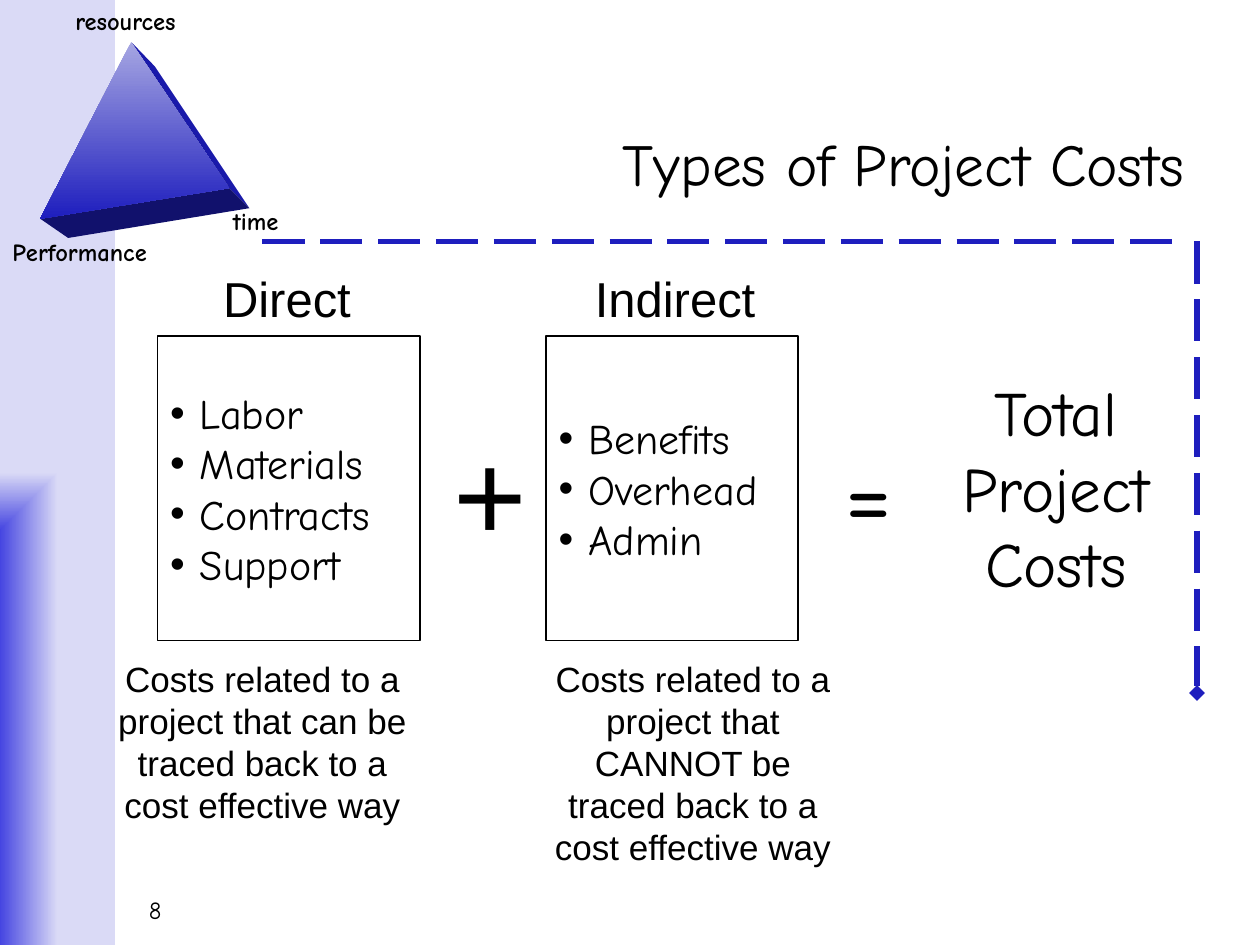
from lxml.etree import SubElement
from pptx import Presentation
from pptx.dml.color import RGBColor
from pptx.enum.dml import MSO_LINE
from pptx.enum.shapes import MSO_CONNECTOR, MSO_SHAPE
from pptx.enum.text import MSO_ANCHOR, MSO_AUTO_SIZE, PP_ALIGN
from pptx.oxml.ns import qn
from pptx.util import Pt

BLACK = RGBColor(0x00, 0x00, 0x00)
WHITE = RGBColor(0xFF, 0xFF, 0xFF)
BLUE = RGBColor(0x1E, 0x1E, 0xBE)
SIDE_BLUE = RGBColor(0x1A, 0x1A, 0xAA)
BASE_BLUE = RGBColor(0x11, 0x11, 0x6C)
PALE_BLUE = RGBColor(0xA6, 0xA6, 0xE2)
BAND_DARK = RGBColor(0x45, 0x45, 0xE1)
BAND_LIGHT = RGBColor(0xDA, 0xDA, 0xF6)
COMIC = "Comic Neue"
ARIAL = "Arial"


def write_text(frame, text, size=24, font=COMIC, bold=False, align=PP_ALIGN.LEFT,
               anchor=MSO_ANCHOR.TOP, wrap=True, bullet_indent=0):
    """Fill a text frame, one paragraph per line of text."""
    frame.text = text
    frame.auto_size = MSO_AUTO_SIZE.NONE
    frame.word_wrap = wrap
    frame.vertical_anchor = anchor
    for paragraph in frame.paragraphs:
        paragraph.alignment = align
        paragraph.space_before = Pt(0)
        paragraph.font.size = Pt(size)
        paragraph.font.name = font
        paragraph.font.bold = bold
        paragraph.font.color.rgb = BLACK
        if bullet_indent:
            properties = paragraph._p.get_or_add_pPr()
            properties.set("marL", str(Pt(bullet_indent)))
            properties.set("indent", str(-Pt(bullet_indent)))


def place(shape, left, top, width, height):
    """Move and size a shape in points."""
    shape.left, shape.top = Pt(left), Pt(top)
    shape.width, shape.height = Pt(width), Pt(height)


def add_label(slide, text, box, **text_format):
    """Add a text box with formatted text."""
    label = slide.shapes.add_textbox(*map(Pt, box))
    write_text(label.text_frame, text, **text_format)


def set_gradient(shape, start, end):
    """Give a shape a two-colour gradient running downwards."""
    shape.fill.gradient()
    shape.fill.gradient_angle = 270
    for stop, color, position in zip(shape.fill.gradient_stops, (start, end), (0, 1)):
        stop.color.rgb = color
        stop.position = position


def add_side_band(slide):
    """Add the left band, shaded from its lower left corner."""
    band = slide.shapes.add_shape(MSO_SHAPE.RECTANGLE, 0, 0, Pt(66), Pt(540))
    band.shadow.inherit = False
    band.line.fill.background()
    set_gradient(band, BAND_DARK, BAND_LIGHT)
    gradient = band._element.spPr.find(qn("a:gradFill"))
    gradient.remove(gradient.find(qn("a:lin")))
    shade = SubElement(gradient, qn("a:path"), {"path": "rect"})
    SubElement(shade, qn("a:fillToRect"), {"l": "0", "t": "100000", "r": "100000", "b": "0"})


def add_face(slide, corners, color):
    """Add one flat face of the pyramid."""
    outline = slide.shapes.build_freeform(*map(Pt, corners[0]), scale=1.0)
    outline.add_line_segments([tuple(map(Pt, corner)) for corner in corners[1:]])
    face = outline.convert_to_shape()
    face.shadow.inherit = False
    face.line.fill.background()
    face.fill.solid()
    face.fill.fore_color.rgb = color
    return face


def add_pyramid(slide):
    """Add the pyramid and the labels at its corners."""
    apex, left, right = (75, 24), (23, 125), (131, 107.5)
    back_apex, back_left, back_right = (88.5, 38), (39, 136), (142.5, 119)
    add_face(slide, [apex, back_apex, back_right, right], SIDE_BLUE)
    add_face(slide, [left, right, back_right, back_left], BASE_BLUE)
    set_gradient(add_face(slide, [apex, right, left], BLUE), PALE_BLUE, BLUE)
    for text, box in (("resources", (36, 0, 79, 24)),
                      ("Performance", (0, 132, 99, 24)),
                      ("time", (126, 114, 44, 24))):
        add_label(slide, text, box, size=14, bold=True, wrap=False)


def add_dashed_line(slide, start, end, tail=None):
    """Add a dashed blue line, optionally with an end mark."""
    rule = slide.shapes.add_connector(MSO_CONNECTOR.STRAIGHT, *map(Pt, start + end))
    rule.line.color.rgb = BLUE
    rule.line.width = Pt(3)
    rule.line.dash_style = MSO_LINE.LONG_DASH
    if tail:
        SubElement(rule.line._get_or_add_ln(), qn("a:tailEnd"), {"type": tail})
    SubElement(rule._element.spPr, qn("a:effectLst"))


def fill_cost_list(cost_list, items, box):
    """Turn a body placeholder into a framed bullet list."""
    place(cost_list, *box)
    cost_list.fill.solid()
    cost_list.fill.fore_color.rgb = WHITE
    color = cost_list._element.spPr.find(qn("a:solidFill"))[0]
    SubElement(color, qn("a:alpha"), {"val": "50000"})
    cost_list.line.color.rgb = BLACK
    cost_list.line.width = Pt(1)
    write_text(cost_list.text_frame, "\n".join(items), anchor=MSO_ANCHOR.MIDDLE,
               bullet_indent=17)


def main():
    """Build the slide and save it."""
    deck = Presentation()
    deck.slide_width, deck.slide_height = Pt(720), Pt(540)
    slide = deck.slides.add_slide(deck.slide_layouts[3])
    title, direct, indirect = slide.placeholders

    add_side_band(slide)
    add_pyramid(slide)
    add_dashed_line(slide, (150, 138), (678, 138))
    add_dashed_line(slide, (684, 138), (684, 396), tail="diamond")

    place(title, 150, 48, 534, 90)
    write_text(title.text_frame, "Types of Project Costs", size=34,
               align=PP_ALIGN.RIGHT, anchor=MSO_ANCHOR.MIDDLE)
    fill_cost_list(direct, ["Labor", "Materials", "Contracts", "Support"],
                   (90, 192, 150, 174))
    fill_cost_list(indirect, ["Benefits", "Overhead", "Admin"], (312, 192, 144, 174))

    centered = {"align": PP_ALIGN.CENTER}
    for heading, box in (("Direct", (120, 150, 88, 41)), ("Indirect", (332.5, 150, 106.5, 41))):
        add_label(slide, heading, box, size=28, font=ARIAL, wrap=False, **centered)
    for meaning, left, height in (("can", 60, 103), ("CANNOT", 306, 127)):
        add_label(slide, f"Costs related to a project that {meaning} be traced back to a "
                  "cost effective way", (left, 372, 180, height), size=20, font=ARIAL, **centered)
    add_label(slide, "+", (252, 234, 56, 94), size=72, font=ARIAL, wrap=False, **centered)
    add_label(slide, "=", (474, 240, 45, 79), size=60, wrap=False, **centered)
    add_label(slide, "Total\nProject\nCosts", (534, 210, 139, 137), size=36, wrap=False, **centered)
    add_label(slide, "8", (78, 508, 462, 24), size=14)
    deck.save("out.pptx")


main()
